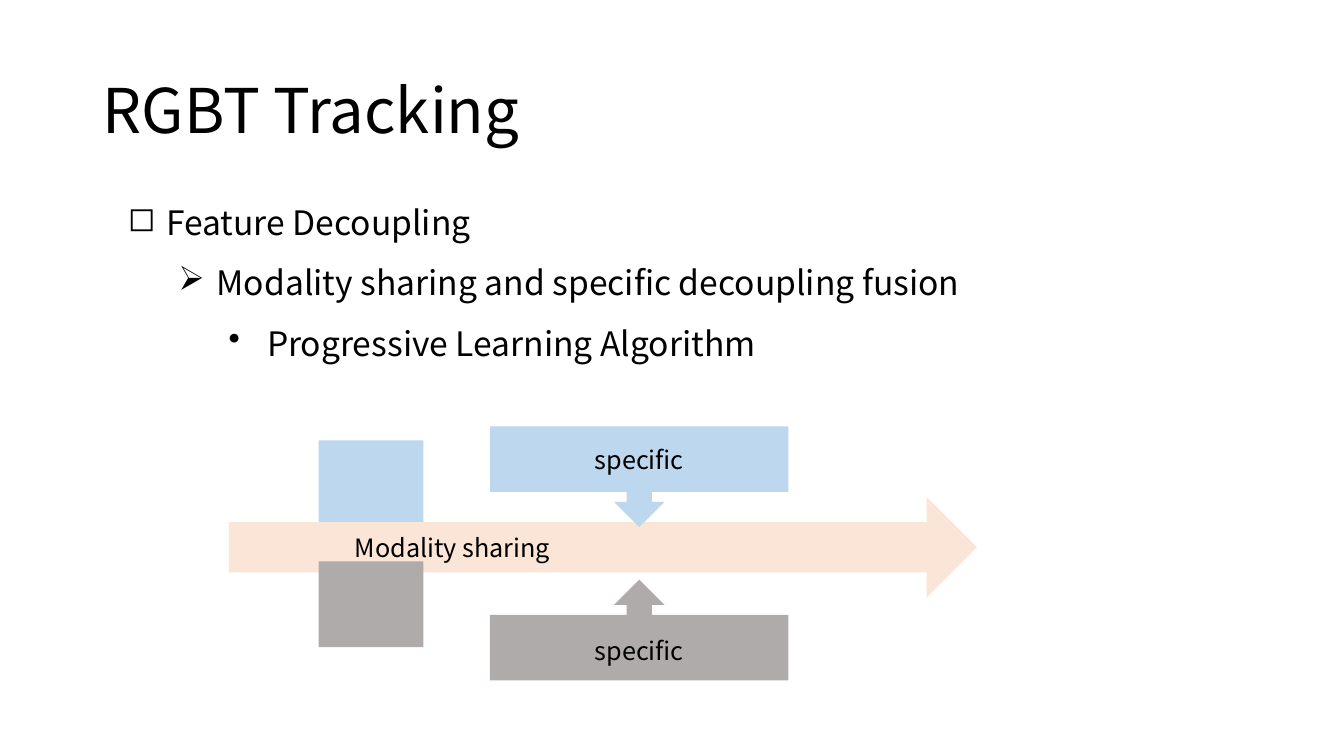
"""Build the RGBT Tracking slide with its feature decoupling diagram."""
from dataclasses import dataclass

from lxml import etree
from pptx import Presentation
from pptx.dml.color import RGBColor
from pptx.enum.shapes import MSO_SHAPE
from pptx.enum.text import MSO_ANCHOR, MSO_AUTO_SIZE, PP_ALIGN
from pptx.oxml.ns import qn
from pptx.util import Inches, Pt

RECTANGLE = MSO_SHAPE.RECTANGLE
RIGHT_ARROW = MSO_SHAPE.RIGHT_ARROW
CALLOUT = MSO_SHAPE.DOWN_ARROW_CALLOUT
MIDDLE = MSO_ANCHOR.MIDDLE
LEFT, CENTER = PP_ALIGN.LEFT, PP_ALIGN.CENTER
NO_FIT = MSO_AUTO_SIZE.NONE


@dataclass(frozen=True)
class Theme:
    font: str = "Noto Sans CJK SC"
    text: str = "000000"
    blue: str = "BDD7EE"
    peach: str = "FBE5D6"
    gray: str = "AFABAB"
    title_size: int = 44
    outline_size: int = 24
    label_size: int = 18


THEME = Theme()
WIDTH, HEIGHT = Inches(13.33), Inches(7.5)
INDENT_STEP, HANGING = Inches(0.5), Inches(0.38)

TITLE = "RGBT Tracking"
OUTLINE = [
    ("◻", "Feature Decoupling"),
    ("➢", "Modality sharing and specific decoupling fusion"),
    ("•", "Progressive Learning Algorithm"),
]

# Areas are left, top, width and height in percent of the slide.
TITLE_AREA = (6.9, 5.33, 86.27, 19.33)
OUTLINE_AREA = (8.78, 23.33, 73.07, 24.8)
BLOCK_LEFT, BLOCK_SIZE = 23.71, (7.8, 11.33)
CALLOUT_LEFT, CALLOUT_SIZE = 36.46, (22.2, 13.33)
DIAGRAM = [
    (RECTANGLE, (BLOCK_LEFT, 58.27, *BLOCK_SIZE), THEME.blue, 0, ""),
    (RIGHT_ARROW, (17.03, 65.73, 55.66, 13.33), THEME.peach, 0, ""),
    (RECTANGLE, (BLOCK_LEFT, 74.27, *BLOCK_SIZE), THEME.gray, 0, ""),
    (CALLOUT, (CALLOUT_LEFT, 56.4, *CALLOUT_SIZE), THEME.blue, 0, "specific"),
    (CALLOUT, (CALLOUT_LEFT, 76.67, *CALLOUT_SIZE), THEME.gray, 180, ""),
]
LABELS = [
    ("Modality sharing", (25.66, 69.73, 50.04, 5.33)),
    ("specific", (43.51, 83.33, 12.53, 9.47)),
]


def place(area):
    left, top, width, height = area
    return (int(WIDTH * left / 100), int(HEIGHT * top / 100),
            int(WIDTH * width / 100), int(HEIGHT * height / 100))


def write(paragraph, text, size, alignment=LEFT):
    paragraph.text = text
    paragraph.alignment = alignment
    for run in paragraph.runs:
        run.font.name = THEME.font
        run.font.size = Pt(size)
        run.font.color.rgb = RGBColor.from_string(THEME.text)
        east_asian = etree.SubElement(run.font._element, qn("a:ea"))
        east_asian.set("typeface", THEME.font)


def add_title(slide):
    title = slide.shapes.title
    title.left, title.top, title.width, title.height = place(TITLE_AREA)
    frame = title.text_frame
    frame.auto_size = NO_FIT
    frame.vertical_anchor = MIDDLE
    write(frame.paragraphs[0], TITLE, THEME.title_size)
    frame.paragraphs[0].line_spacing = 0.9


def add_text_box(slide, area):
    frame = slide.shapes.add_textbox(*place(area)).text_frame
    frame.word_wrap = True
    return frame


def add_outline(slide):
    frame = add_text_box(slide, OUTLINE_AREA)
    for level, (bullet, text) in enumerate(OUTLINE):
        paragraph = frame.add_paragraph() if level else frame.paragraphs[0]
        paragraph.level = level
        paragraph.line_spacing = 1.5
        properties = paragraph._p.get_or_add_pPr()
        properties.set("marL", str(HANGING + level * INDENT_STEP))
        properties.set("indent", str(-HANGING))
        etree.SubElement(properties, qn("a:buChar")).set("char", bullet)
        write(paragraph, text, THEME.outline_size)


def add_diagram_shape(slide, kind, area, color, rotation, text):
    shape = slide.shapes.add_shape(kind, *place(area))
    shape.shadow.inherit = False
    shape.fill.solid()
    shape.fill.fore_color.rgb = RGBColor.from_string(color)
    shape.line.fill.background()
    shape.rotation = rotation
    if text:
        shape.text_frame.vertical_anchor = MIDDLE
        write(shape.text_frame.paragraphs[0], text, THEME.label_size, CENTER)


def add_diagram(slide):
    arrow_label, callout_label = LABELS
    for kind, area, color, rotation, text in DIAGRAM:
        add_diagram_shape(slide, kind, area, color, rotation, text)
        if kind == RIGHT_ARROW:
            add_label(slide, *arrow_label)
    add_label(slide, *callout_label)


def add_label(slide, text, area):
    frame = add_text_box(slide, area)
    write(frame.paragraphs[0], text, THEME.label_size)


def main():
    presentation = Presentation()
    presentation.slide_width, presentation.slide_height = WIDTH, HEIGHT
    slide = presentation.slides.add_slide(presentation.slide_layouts[5])
    add_title(slide)
    add_outline(slide)
    add_diagram(slide)
    presentation.save("out.pptx")


if __name__ == "__main__":
    main()
